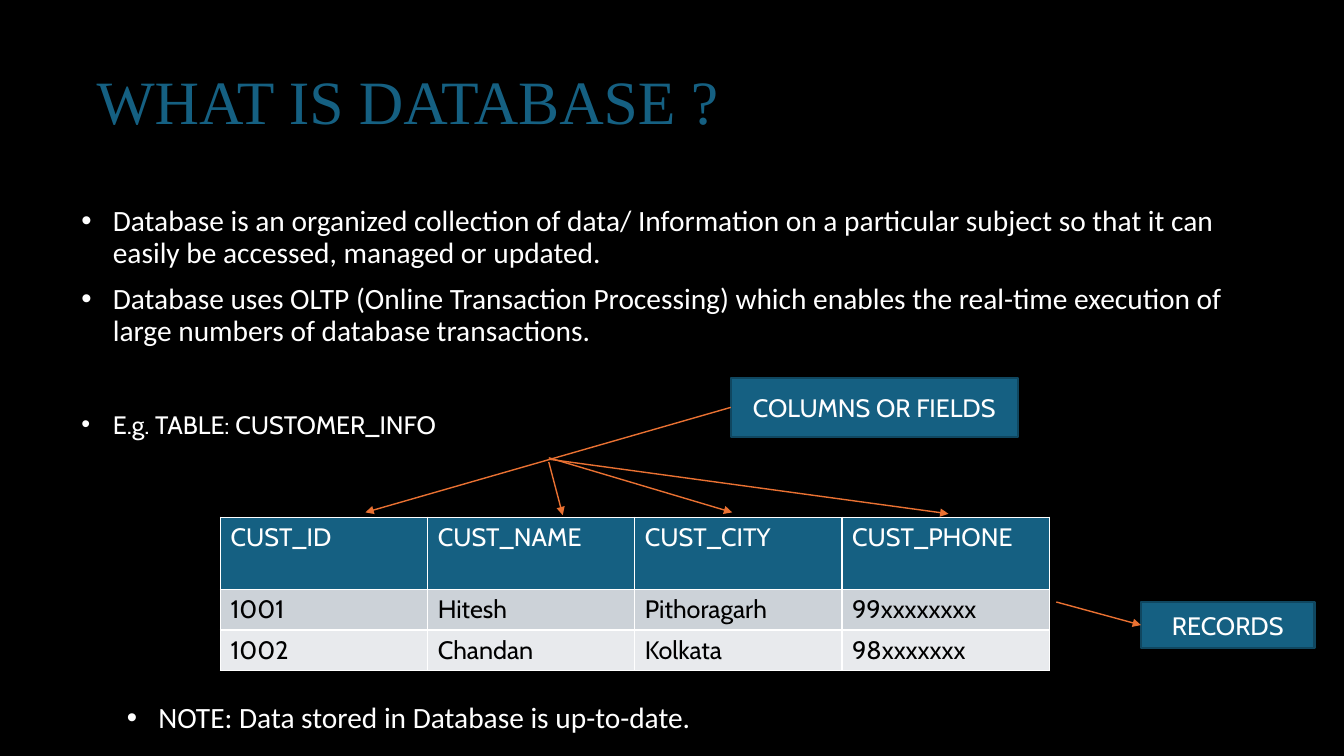
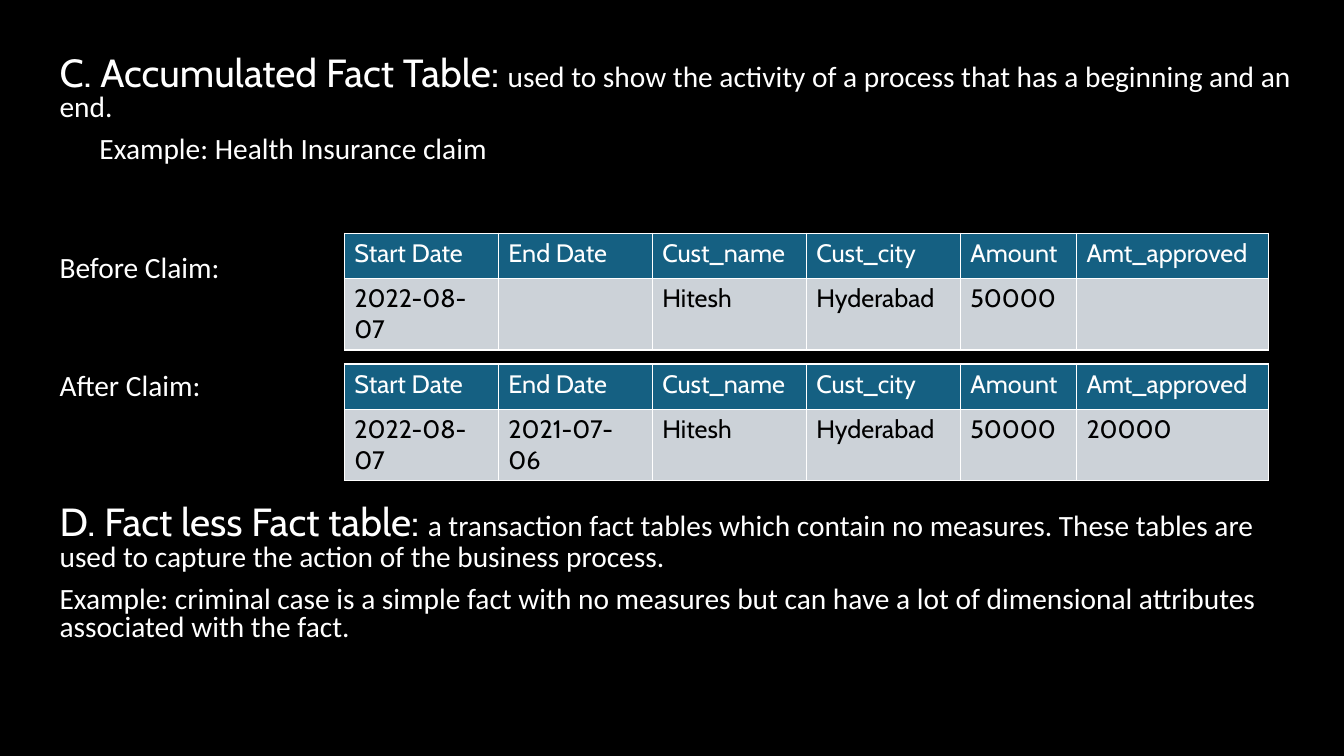
import pptx
import pptx.dml.color
import pptx.enum.shapes
import pptx.enum.text
import pptx.oxml.ns
import pptx.util
from lxml import etree

Pt = pptx.util.Pt
ALIGN = pptx.enum.text.PP_ALIGN
ANCHOR = pptx.enum.text.MSO_ANCHOR
qn = pptx.oxml.ns.qn

BLACK, WHITE = "000000", "FFFFFF"
TEAL, TEAL_EDGE, ORANGE = "156082", "104760", "E97132"
ROW_FILLS = ["CCD2D8", "E8EAED"]
CABIN, CALIBRI, TIMES = "Cabin", "Calibri", "Times New Roman"
BULLET_INDENT = 22.5


def rgb(value):
    return pptx.dml.color.RGBColor.from_string(value)


def style_runs(p, size, font, color=WHITE):
    for r in p.runs:
        r.font.size = Pt(size)
        r.font.name = font
        r.font.bold = False
        r.font.color.rgb = rgb(color)


def add_text_box(slide, x, y, w, h):
    tf = slide.shapes.add_textbox(Pt(x), Pt(y), Pt(w), Pt(h)).text_frame
    tf.word_wrap = True
    return tf


def add_title(slide, text):
    tf = add_text_box(slide, 51, 33, 741, 110)
    tf.margin_left, tf.margin_top = Pt(18), Pt(12)
    tf.text = text
    style_runs(tf.paragraphs[0], 44, TIMES, TEAL)


def add_paragraph(tf, text, size=21, font=CALIBRI, heading="", before=10,
                  spacing=0.9, indent=0, bullet=False):
    """Fill the first paragraph or append one, with an optional larger lead-in."""
    p = tf.paragraphs[0] if not tf.text else tf.add_paragraph()
    p.space_before = Pt(before)
    p.line_spacing = spacing
    if heading:
        p.text = heading
        style_runs(p, 28, CABIN)
    r = p.add_run()
    r.text = text
    r.font.size, r.font.name = Pt(size), font
    r.font.color.rgb = rgb(WHITE)
    pPr = p._p.get_or_add_pPr()
    if bullet:
        indent = BULLET_INDENT
        pPr.set("indent", str(-Pt(BULLET_INDENT)))
        etree.SubElement(pPr, qn("a:buFont")).set("typeface", "Arial")
        etree.SubElement(pPr, qn("a:buChar")).set("char", "•")
    if indent:
        pPr.set("marL", str(Pt(indent)))


def add_label(slide, text, x, y, w, h):
    sp = slide.shapes.add_shape(pptx.enum.shapes.MSO_SHAPE.RECTANGLE,
                                Pt(x), Pt(y), Pt(w), Pt(h))
    sp.shadow.inherit = False
    sp.fill.solid()
    sp.fill.fore_color.rgb = rgb(TEAL)
    sp.line.color.rgb = rgb(TEAL_EDGE)
    sp.line.width = Pt(1.5)
    tf = sp.text_frame
    tf.text = text
    tf.vertical_anchor = ANCHOR.MIDDLE
    tf.paragraphs[0].alignment = ALIGN.CENTER
    style_runs(tf.paragraphs[0], 18, CABIN)
    return sp


def add_arrow(slide, x1, y1, x2, y2):
    arrow = slide.shapes.add_connector(pptx.enum.shapes.MSO_CONNECTOR.STRAIGHT,
                                       Pt(x1), Pt(y1), Pt(x2), Pt(y2))
    arrow.line.color.rgb = rgb(ORANGE)
    arrow.line.width = Pt(1)
    spPr = arrow._element.spPr
    etree.SubElement(spPr.find(qn("a:ln")), qn("a:tailEnd")).set("type", "triangle")
    etree.SubElement(spPr, qn("a:effectLst"))
    return arrow


def set_borders(cell, color=WHITE, width=1):
    tcPr = cell._tc.get_or_add_tcPr()
    for side in ("a:lnL", "a:lnR", "a:lnT", "a:lnB"):
        ln = etree.SubElement(tcPr, qn(side))
        ln.set("w", str(Pt(width)))
        fill = etree.SubElement(ln, qn("a:solidFill"))
        etree.SubElement(fill, qn("a:srgbClr")).set("val", color)


def add_data_table(slide, x, y, widths, heights, rows):
    table = slide.shapes.add_table(len(rows), len(widths), Pt(x), Pt(y),
                                   Pt(sum(widths)), Pt(sum(heights))).table
    for column, width in zip(table.columns, widths):
        column.width = Pt(width)
    for i, (row, height, values) in enumerate(zip(table.rows, heights, rows)):
        row.height = Pt(height)
        header = i == 0
        for cell, value in zip(row.cells, values):
            set_borders(cell)
            cell.fill.solid()
            cell.fill.fore_color.rgb = rgb(TEAL if header else ROW_FILLS[(i - 1) % 2])
            cell.text = value
            style_runs(cell.text_frame.paragraphs[0], 18, CABIN,
                       WHITE if header else BLACK)


def build_database_slide(slide):
    add_title(slide, "WHAT IS DATABASE ?")
    tf = add_text_box(slide, 51, 144, 830, 174)
    add_paragraph(tf, "Database is an organized collection of data/ Information on a "
                  "particular subject so that it can easily be accessed, managed or "
                  "updated.", bullet=True)
    add_paragraph(tf, "Database uses OLTP (Online Transaction Processing) which enables "
                  "the real-time execution of large numbers of database\u00a0transactions.",
                  bullet=True)
    add_paragraph(tf, "E.g. TABLE: CUSTOMER_INFO", 18, CABIN, before=44, spacing=1.0,
                  bullet=True)

    add_data_table(slide, 157.5, 369.5, [148] * 4, [51.5, 29, 29], [
        ["CUST_ID", "CUST_NAME", "CUST_CITY", "CUST_PHONE"],
        ["1001", "Hitesh", "Pithoragarh", "99xxxxxxxx"],
        ["1002", "Chandan", "Kolkata", "98xxxxxxx"],
    ])

    fields = add_label(slide, "COLUMNS OR FIELDS", 522, 270, 205, 42)
    add_arrow(slide, 522, 291, 261, 366).begin_connect(fields, 1)
    for y1, x2, y2 in [(330, 402, 368), (327, 523, 366), (328, 677.5, 367)]:
        add_arrow(slide, 392, y1, x2, y2)

    records = add_label(slide, "RECORDS", 815, 430, 124, 33)
    add_arrow(slide, 754.5, 430, 815, 446.5).end_connect(records, 1)

    note = add_text_box(slide, 83.5, 499, 459, 30)
    add_paragraph(note, "NOTE: Data stored in Database is up-to-date.", bullet=True)


def build_fact_table_slide(slide):
    tf = add_text_box(slide, 35.5, 37.5, 903, 458)
    for text, options in [
        ("used to show the activity of a process that has a beginning and an end.",
         {"heading": "C. Accumulated Fact Table: "}),
        ("Example: Health Insurance claim", {"indent": 28.5}),
        ("Before Claim:", {"before": 64.5}),
        ("After Claim:", {"before": 64.5}),
        ("a transaction fact tables which contain no measures. These tables are used "
         "to capture the action of the business process.",
         {"heading": "D. Fact less Fact table: ", "before": 74.5}),
        ("Example: criminal case is a simple fact with no measures but can have a lot "
         "of dimensional attributes associated with the fact.", {}),
    ]:
        add_paragraph(tf, text, spacing=0.8, **options)

    header = ["Start Date", "End Date", "Cust_name", "Cust_city", "Amount", "Amt_approved"]
    for y, end_date, approved in [(166.5, "", ""), (260, "2021-07-06", "20000")]:
        claim = ["2022-08-07", end_date, "Hitesh", "Hyderabad", "50000", approved]
        add_data_table(slide, 246, y, [110] * 4 + [83, 137], [32.5, 51], [header, claim])


def main():
    prs = pptx.Presentation()
    prs.slide_width, prs.slide_height = Pt(960), Pt(540)
    background = prs.slide_master.background.fill
    background.solid()
    background.fore_color.rgb = rgb(BLACK)
    for build in (build_database_slide, build_fact_table_slide):
        build(prs.slides.add_slide(prs.slide_layouts[6]))
    prs.save("out.pptx")


if __name__ == "__main__":
    main()
